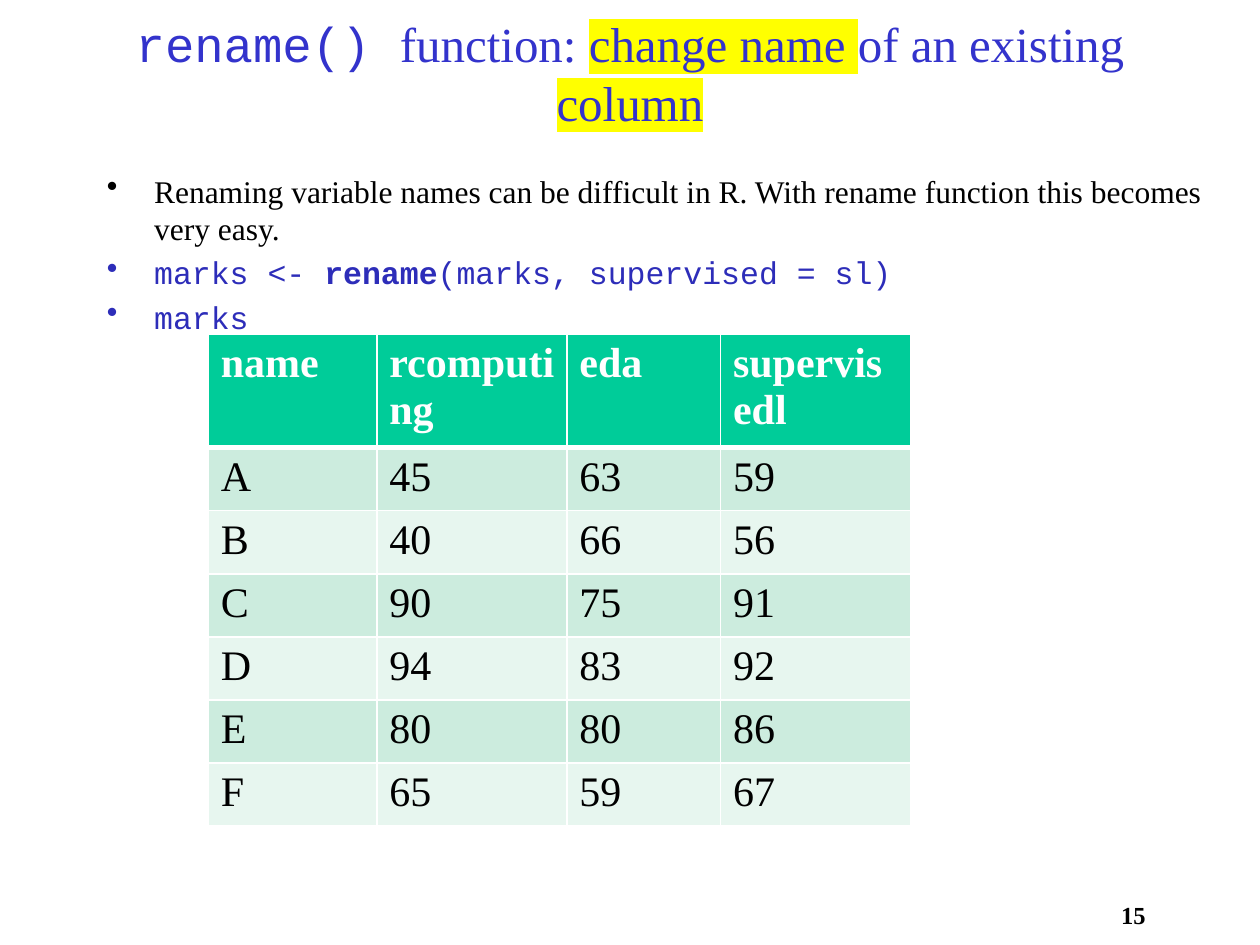
from dataclasses import dataclass, replace

from lxml import etree
from pptx import Presentation
from pptx.dml.color import RGBColor
from pptx.enum.text import MSO_ANCHOR, PP_ALIGN
from pptx.oxml.ns import qn
from pptx.util import Pt

CENTER = PP_ALIGN.CENTER
MIDDLE = MSO_ANCHOR.MIDDLE
SERIF, MONO = "Times New Roman", "Courier New"
WHITE, BLACK, BLUE, CODE = "FFFFFF", "000000", "3333CC", "2D2DB9"
GREEN, BANDS, YELLOW = "00CC99", ("CCECDE", "E7F6EF"), "FFFF00"


@dataclass(frozen=True)
class Span:
    text: str
    size: float
    font: str = SERIF
    color: str = BLACK
    bold: bool = False
    mark: str = ""


@dataclass(frozen=True)
class Box:
    left: float
    top: float
    width: float
    height: float


def rgb(code: str) -> RGBColor:
    return RGBColor.from_string(code)


def add_fill(node, code: str) -> None:
    fill = etree.SubElement(node, qn("a:solidFill"))
    etree.SubElement(fill, qn("a:srgbClr"), val=code)


def add_span(para, span: Span) -> None:
    run = para.add_run()
    run.text = span.text
    font = run.font
    font.size, font.name, font.bold = Pt(span.size), span.font, span.bold
    font.color.rgb = rgb(span.color)
    if span.mark:
        light = etree.Element(qn("a:highlight"))
        etree.SubElement(light, qn("a:srgbClr"), val=span.mark)
        font.fill._xPr.find(qn("a:solidFill")).addnext(light)


def add_text(slide, box: Box, paras: list[list[Span]], bullet: bool = False):
    shape = slide.shapes.add_textbox(
        Pt(box.left), Pt(box.top), Pt(box.width), Pt(box.height))
    frame = shape.text_frame
    frame.word_wrap = True
    for i, spans in enumerate(paras):
        para = frame.add_paragraph() if i else frame.paragraphs[0]
        for span in spans:
            add_span(para, span)
        if bullet:
            para.space_before = Pt(3.6)
            props = para._p.get_or_add_pPr()
            props.set("marL", str(Pt(27)))
            props.set("indent", str(Pt(-27)))
            etree.SubElement(props, qn("a:buChar"), char="•")
        else:
            para.alignment = CENTER
    return shape


def set_cell(cell, span: Span, fill: str, base: float) -> None:
    add_span(cell.text_frame.paragraphs[0], span)
    props = cell._tc.get_or_add_tcPr()
    for side, width in (("L", 1), ("R", 1), ("T", 1), ("B", base)):
        line = etree.SubElement(props, qn(f"a:ln{side}"), w=str(Pt(width)))
        add_fill(line, WHITE)
    cell.fill.solid()
    cell.fill.fore_color.rgb = rgb(fill)


def add_grid(slide, box: Box, widths: list[float], rows: list[tuple]) -> None:
    table = slide.shapes.add_table(
        len(rows), len(widths), Pt(box.left), Pt(box.top),
        Pt(box.width), Pt(box.height)).table
    for col, width in zip(table.columns, widths):
        col.width = Pt(width)
    for r, row in enumerate(rows):
        head = r == 0
        fill = GREEN if head else BANDS[(r - 1) % 2]
        for c, text in enumerate(row):
            span = Span(text, 24, color=WHITE if head else BLACK, bold=head)
            set_cell(table.cell(r, c), span, fill, 3 if head else 1)


def main() -> None:
    deck = Presentation()
    deck.slide_width, deck.slide_height = Pt(720), Pt(540)
    slide = deck.slides.add_slide(deck.slide_layouts[6])

    # Page number
    page = add_text(slide, Box(635.76, 514, 23.76, 26),
                    [[Span("15", 14, bold=True)]])
    page.fill.solid()
    page.fill.fore_color.rgb = rgb(WHITE)
    frame = page.text_frame
    frame.margin_left = frame.margin_right = Pt(0)
    frame.margin_top = frame.margin_bottom = Pt(0)

    # Title
    plain = Span("function: ", 28, color=BLUE)
    title = add_text(slide, Box(54, 13, 612, 57), [[
        replace(plain, text="rename() ", font=MONO),
        plain,
        replace(plain, text="change name ", mark=YELLOW),
        replace(plain, text="of an existing "),
        replace(plain, text="column", mark=YELLOW),
    ]])
    title.text_frame.vertical_anchor = MIDDLE

    # Explanation and code
    code = Span("marks", 18, MONO, CODE)
    add_text(slide, Box(54, 94.5, 648, 396), [
        [Span("Renaming variable names can be difficult in R. "
              "With rename function this becomes very easy.", 18)],
        [replace(code, text="marks <- "),
         replace(code, text="rename", bold=True),
         replace(code, text="(marks, supervised = sl)")],
        [code],
    ], bullet=True)

    # Marks table
    add_grid(slide, Box(119, 191, 401, 204.4), [96.3, 108.6, 87.8, 108.6], [
        ("name", "rcomputing", "eda", "supervisedl"),
        ("A", "45", "63", "59"),
        ("B", "40", "66", "56"),
        ("C", "90", "75", "91"),
        ("D", "94", "83", "92"),
        ("E", "80", "80", "86"),
        ("F", "65", "59", "67"),
    ])

    deck.save("out.pptx")


if __name__ == "__main__":
    main()
